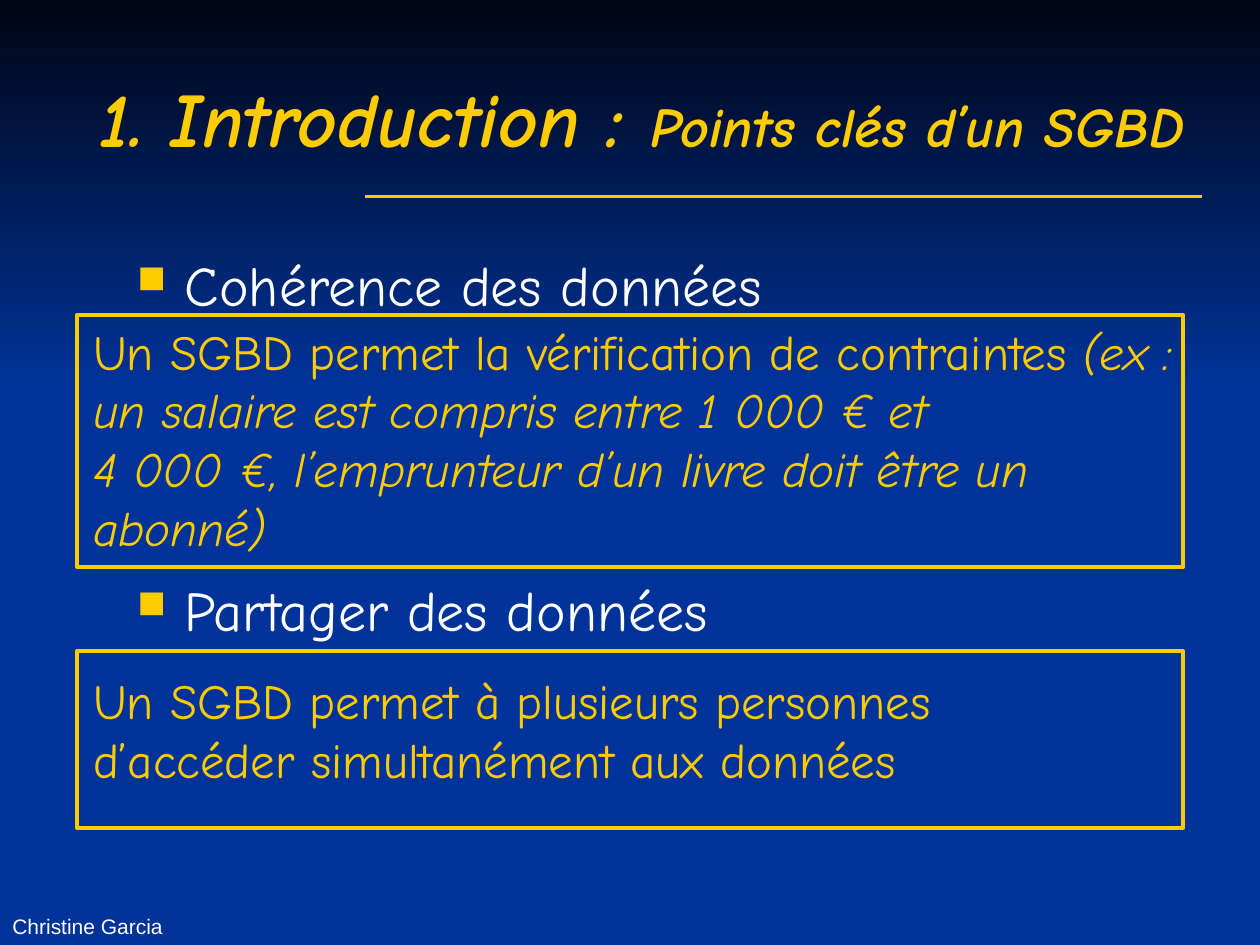
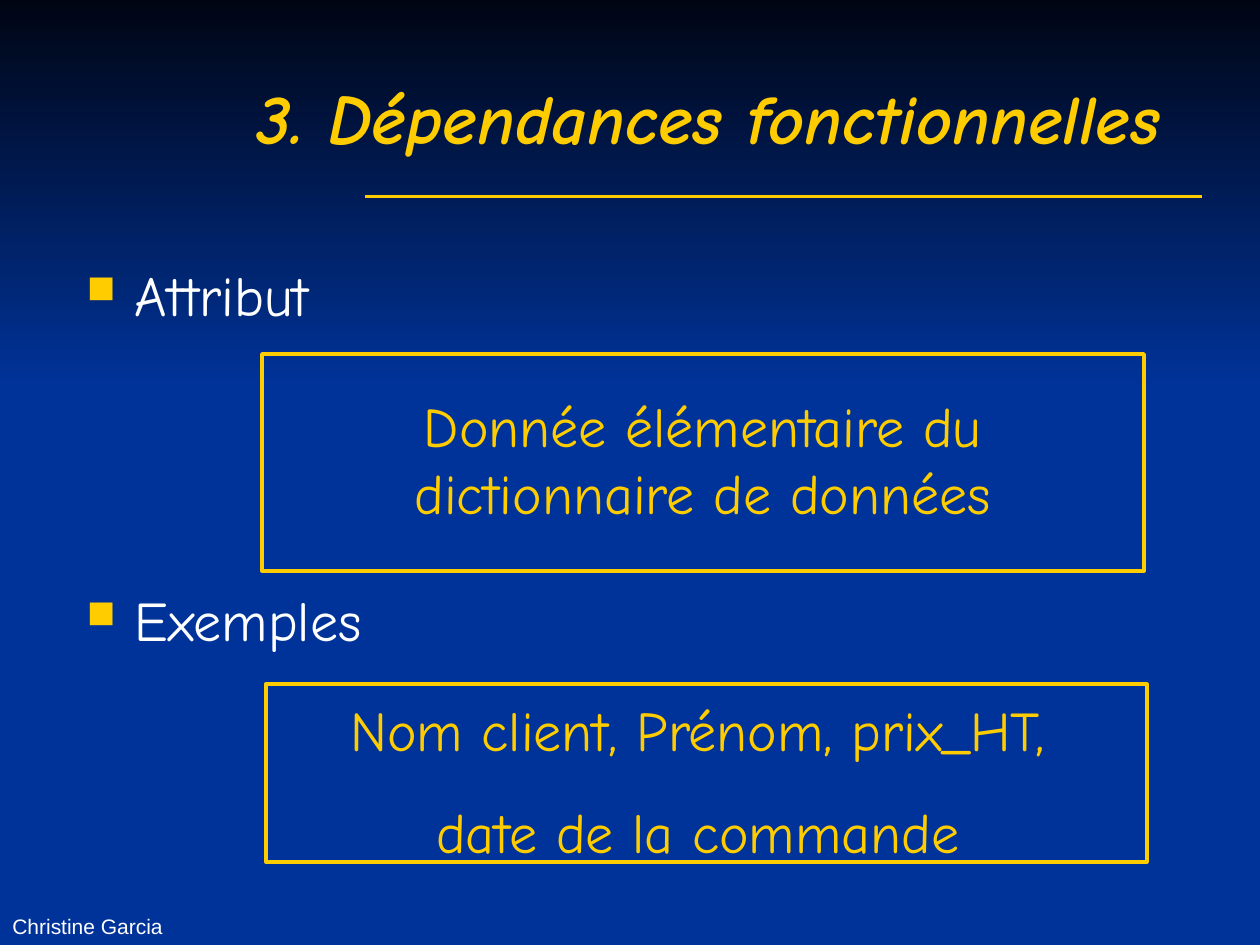
from dataclasses import dataclass, replace

from lxml import etree
from pptx import Presentation
from pptx import util as u
from pptx.dml.color import RGBColor
from pptx.enum import shapes, text
from pptx.oxml import ns
from pptx.slide import Slide

NAVY = RGBColor(0x00, 0x05, 0x14)
BLUE = RGBColor(0x00, 0x33, 0x99)
GOLD = RGBColor(0xFF, 0xCC, 0x00)
WHITE = RGBColor(0xFF, 0xFF, 0xFF)
HAND_FONT = "Comic Neue"
FOOTER_FONT = "Arial"
FOOTER = "Christine Garcia"
HEADING_INDENT = u.Inches(0.38)
HEADING_GAP = u.Pt(147)


@dataclass(frozen=True)
class Area:
    left: float
    top: float
    width: float
    height: float

    def lengths(self) -> list[int]:
        return [u.Inches(side) for side in (self.left, self.top, self.width, self.height)]


@dataclass(frozen=True)
class Span:
    text: str
    size: float
    color: RGBColor = GOLD
    font: str = HAND_FONT
    bold: bool = False
    italic: bool = False


@dataclass(frozen=True)
class Definition:
    """A framed explanation; the text area and the frame are placed separately."""
    frame: Area
    text_area: Area
    paras: list[list[Span]]
    align: text.PP_ALIGN = text.PP_ALIGN.LEFT


@dataclass(frozen=True)
class Lesson:
    title: list[Span]
    headings: list[str]
    headings_area: Area
    definitions: list[Definition]


def add_bullet(para) -> None:
    props = para._p.get_or_add_pPr()
    props.set("marL", str(HEADING_INDENT))
    props.set("indent", str(-HEADING_INDENT))
    color = etree.SubElement(props, ns.qn("a:buClr"))
    etree.SubElement(color, ns.qn("a:srgbClr"), val=str(GOLD))
    etree.SubElement(props, ns.qn("a:buSzPct"), val="70000")
    etree.SubElement(props, ns.qn("a:buChar"), char="■")


def add_text(page: Slide, area: Area, paras: list[list[Span]], *,
             align=text.PP_ALIGN.LEFT, anchor=text.MSO_ANCHOR.TOP,
             gap=u.Pt(0), bulleted: bool = False) -> None:
    """Fill a text box; gap separates paragraphs, a newline in a span breaks the line."""
    frame = page.shapes.add_textbox(*area.lengths()).text_frame
    frame.word_wrap = True
    frame.vertical_anchor = anchor
    for index, spans in enumerate(paras):
        para = frame.add_paragraph() if index else frame.paragraphs[0]
        if bulleted:
            add_bullet(para)
        para.alignment = align
        para.space_before = gap if index else u.Pt(0)
        for span in spans:
            for number, line in enumerate(span.text.split("\n")):
                if number:
                    para.add_line_break()
                run = para.add_run()
                run.text = line
                run.font.name = span.font
                run.font.size = u.Pt(span.size)
                run.font.bold = span.bold
                run.font.italic = span.italic
                run.font.color.rgb = span.color


def add_frame(page: Slide, area: Area) -> None:
    box = page.shapes.add_shape(shapes.MSO_SHAPE.RECTANGLE, *area.lengths())
    box.shadow.inherit = False
    box.fill.background()
    box.line.color.rgb = GOLD
    box.line.width = u.Pt(2.25)


def add_backdrop(page: Slide) -> None:
    page.background.fill.solid()
    page.background.fill.fore_color.rgb = BLUE

    band = page.shapes.add_shape(shapes.MSO_SHAPE.RECTANGLE, *Area(0, 0, 10, 3.09).lengths())
    band.shadow.inherit = False
    band.line.fill.background()
    band.fill.gradient()
    band.fill.gradient_angle = 270
    for stop, color, position in zip(band.fill.gradient_stops, (NAVY, BLUE), (0, 1)):
        stop.color.rgb = color
        stop.position = position

    rule = page.shapes.add_connector(
        shapes.MSO_CONNECTOR.STRAIGHT,
        u.Inches(2.9), u.Inches(1.56), u.Inches(9.54), u.Inches(1.56))
    rule.line.color.rgb = GOLD
    rule.line.width = u.Pt(2)
    etree.SubElement(rule._element.spPr, ns.qn("a:effectLst"))


def add_lesson(deck, lesson: Lesson) -> None:
    page = deck.slides.add_slide(deck.slide_layouts[6])
    add_backdrop(page)
    title = [replace(span, bold=True, italic=True) for span in lesson.title]
    add_text(page, Area(0.5, 0.3, 9, 1.25), [title],
             align=text.PP_ALIGN.RIGHT, anchor=text.MSO_ANCHOR.MIDDLE)
    add_text(page, lesson.headings_area,
             [[Span(heading, 32, WHITE)] for heading in lesson.headings],
             gap=HEADING_GAP, bulleted=True)
    for item in lesson.definitions:
        add_text(page, item.text_area, item.paras, align=item.align, gap=u.Pt(20))
        add_frame(page, item.frame)
    add_text(page, Area(0, 6.98, 3.17, 0.52), [[Span(FOOTER, 12, WHITE, FOOTER_FONT)]],
             anchor=text.MSO_ANCHOR.BOTTOM)


LESSONS = [
    Lesson(
        title=[Span("1. Introduction : ", 44), Span("Points clés d’un SGBD", 32)],
        headings=["Cohérence des données", "Partager des données"],
        headings_area=Area(0.99, 1.94, 8.03, 4.09),
        definitions=[
            Definition(
                Area(0.61, 2.5, 8.78, 2), Area(0.64, 2.5, 8.87, 1.97),
                [[Span("Un SGBD permet la vérification de contraintes ", 28),
                  Span("(ex : un salaire est compris entre 1 000 € et \n"
                       "4 000 €, l’emprunteur d’un livre doit être un abonné)",
                       28, italic=True)]]),
            Definition(
                Area(0.61, 5.17, 8.78, 1.4), Area(0.64, 5.27, 8, 1.04),
                [[Span("Un SGBD permet à plusieurs personnes d’accéder "
                       "simultanément aux données", 28)]]),
        ]),
    Lesson(
        title=[Span("3. Dépendances fonctionnelles ", 40)],
        headings=["Attribut", "Exemples"],
        headings_area=Area(0.59, 2.02, 9, 4.49),
        definitions=[
            Definition(
                Area(2.08, 2.81, 7, 1.72), Area(2.08, 3.06, 7, 1.17),
                [[Span("Donnée élémentaire du dictionnaire de données", 32)]],
                text.PP_ALIGN.CENTER),
            Definition(
                Area(2.11, 5.43, 6.99, 1.41), Area(2.35, 5.47, 6.38, 1.45),
                [[Span("Nom client, Prénom, prix_HT,", 32)],
                 [Span("date de la commande", 32)]],
                text.PP_ALIGN.CENTER),
        ]),
]


def main() -> None:
    deck = Presentation()
    deck.slide_width, deck.slide_height = u.Inches(10), u.Inches(7.5)
    for lesson in LESSONS:
        add_lesson(deck, lesson)
    deck.save("out.pptx")


if __name__ == "__main__":
    main()
